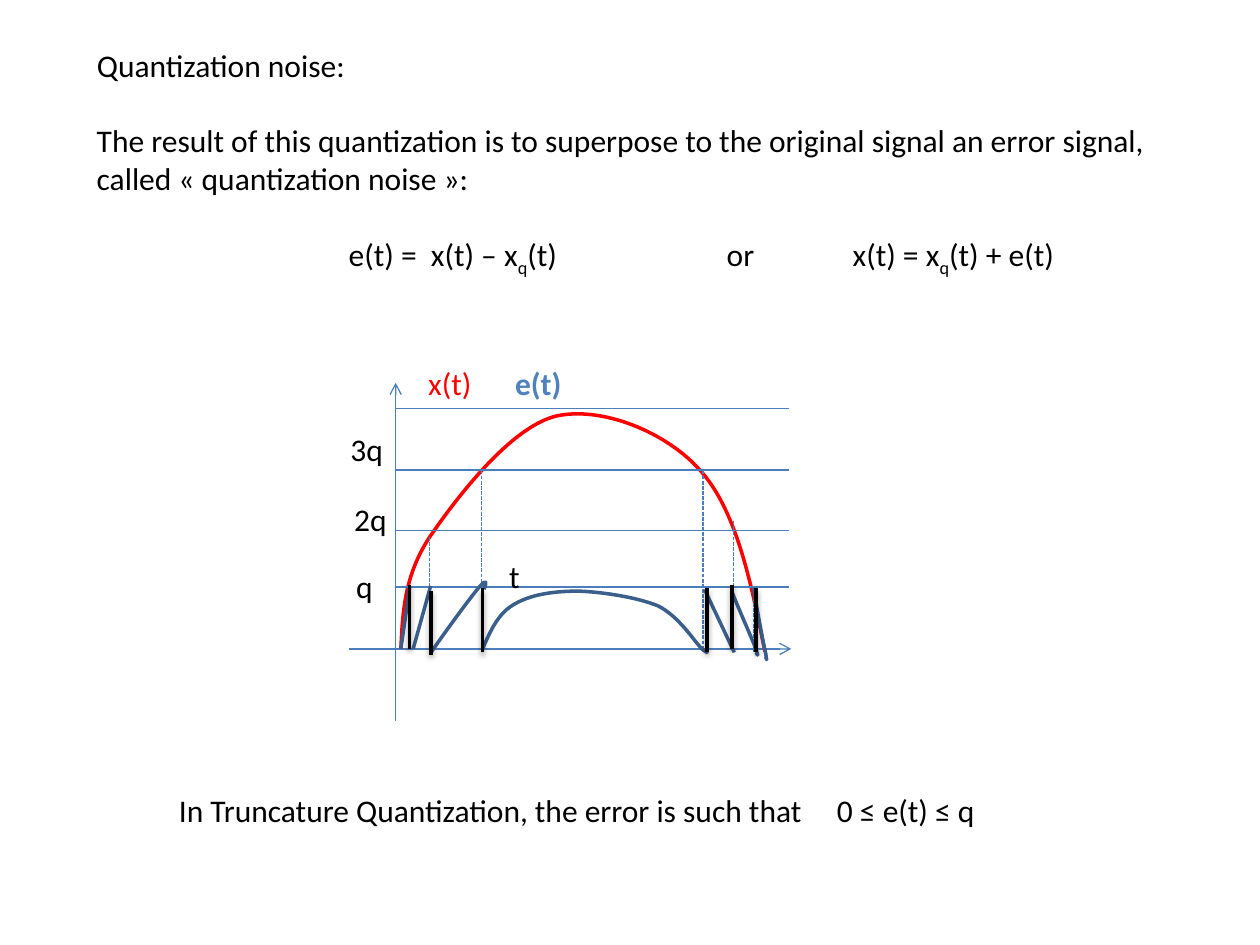
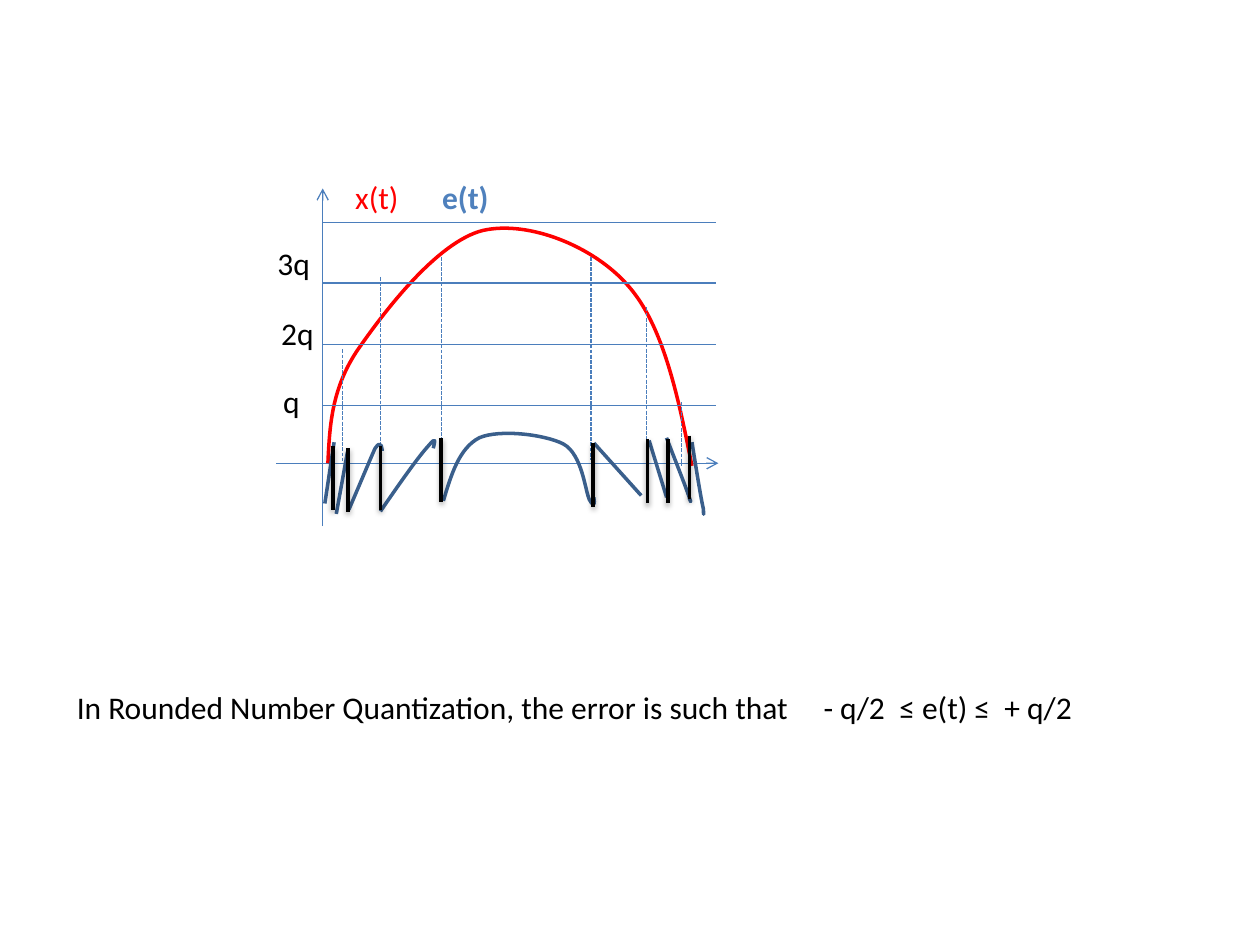
from lxml import etree
from pptx import Presentation
from pptx.dml.color import RGBColor
from pptx.enum import dml, shapes, text
from pptx.oxml import ns
from pptx.util import Pt

BLACK = RGBColor(0x00, 0x00, 0x00)
RED = RGBColor(0xFF, 0x00, 0x00)
BLUE = RGBColor(0x4F, 0x81, 0xBD)
AXIS = RGBColor(0x4B, 0x7E, 0xBC)
NAVY = RGBColor(0x3A, 0x5F, 0x8C)
FONT = "Calibri"
SIZE = 18
ROW = 29.1
SPAN = 224.6
RISE = 193
BAR = 36.5
STEPS = 12

SIGNAL = [(3, 0), (4, -21), (5, -42), (19.5, -64),
          (35, -86.5), (65.5, -126.5), (91.5, -133),
          (117.5, -139), (155, -124), (174.5, -101.5),
          (194.5, -79), (203, -39), (211, 1.5)]

LABELS = [("x(t)", 11.5, -166.5, 73, RED, False),
          ("e(t)", 61.2, -166.5, 144, BLUE, True),
          ("q", -29.7, -50.2, 34, BLACK, False),
          ("2q", -30.8, -88.8, 34, BLACK, False),
          ("3q", -33, -128.6, 34, BLACK, False)]

TRUNC = {
    "drop": 41,
    "levels": [35.3, 67.7, 102.2, 137.5],
    "dashes": [(19.5, -64, 0), (49, -102, 1.5), (175.7, -102, 1.5),
               (193, -73, 1.5), (204.5, -35, 2)],
    "bars": [(8, -36.5), (20.2, -33), (49.7, -34.5),
             (178, -34.5), (192.2, -36.5), (206, -34.5)],
    "errors": [
        [(3, 0), (8, -35)],
        [(10, 0), (20, -36)],
        [(20.2, 2), (31, -13.5), (42.5, -29), (47.5, -35),
         (52.5, -41), (52, -37.5), (50.5, -34)],
        [(49.7, 0), (54, -10), (58.5, -20), (67, -25),
         (76.5, -31), (90, -33), (104.5, -33),
         (118, -32.5), (138, -29.5), (150, -24.5),
         (162, -18.5), (170.5, -4.5), (175, 0),
         (179.5, 3.5), (178, 2), (176.5, 0)],
        [(176.5, -34), (193.5, 2)],
        [(192, -33), (196.5, -21.5), (204, -5), (206, 0.5),
         (208, 6.5), (206, 2), (206, 2)],
        [(204.5, -35), (206.5, -22), (210, -3.5), (211.5, 3),
         (212.5, 9.5), (211.5, 4.5), (211.5, 4.5)],
    ],
}

ROUND = {
    "drop": 36,
    "levels": [33, 67.7, 103, 137.5],
    "dashes": [(11.5, -65, -1), (33, -106.5, -3), (67.7, -118, -2),
               (153.3, -118, -2), (185.2, -89, -2), (205, -35, 1.5)],
    "bars": [(5.8, -10), (14.4, -8.6), (33, -10), (67.7, -14.4),
             (154.6, -11.5), (185.7, -13.7), (197.2, -13.7),
             (209.5, -15.8)],
    "errors": [
        [(1.2, 23), (6.5, -12)],
        [(7.8, 29), (14.2, -6.5)],
        [(15, 26.5), (21.5, 11.5), (27.5, -3), (30, -8.5),
         (34, -14.5), (34, -7), (34, -7)],
        [(33, 27.5), (44, 11.5), (54.5, -3.5), (60.5, -10),
         (65.5, -16), (64, -12), (63.2, -8.5)],
        [(69, 21.5), (73.5, 6.5), (78, -8.5), (89.5, -14.5),
         (101, -19.5), (126.5, -16.5), (137.5, -11),
         (148.5, -5), (150, 16), (152.5, 21),
         (155.5, 26), (155.5, 23), (155, 19.5)],
        [(155, -11.5), (182, 18.5)],
        [(186.5, -13), (196.5, 19.5)],
        [(196.5, -14.5), (201, -3), (207.5, 13.5), (209.5, 19.5),
         (211.5, 25), (209.5, 20), (209.5, 20)],
        [(211, -12), (213, 0.5), (216, 19.5), (217.5, 26),
         (218, 32.5), (217.5, 27.5), (217.5, 27.5)],
    ],
}


def node(parent, tag, **attrs):
    return etree.SubElement(parent, ns.qn(tag), **attrs)


def add_run(par, words, color=BLACK, bold=False, base=None):
    run = par.add_run()
    run.text = words
    font = run.font
    font.name, font.size, font.bold = FONT, Pt(SIZE), bold
    font.color.rgb = color
    if base:
        font._element.set("baseline", str(base * 1000))


def set_tabs(par, stops):
    tabs = node(par._p.get_or_add_pPr(), "a:tabLst")
    for stop in stops:
        node(tabs, "a:tab", pos=str(Pt(stop)), algn="l")


def add_box(slide, left, top, width, height=ROW):
    box = slide.shapes.add_textbox(Pt(left), Pt(top), Pt(width), Pt(height))
    box.text_frame.word_wrap = True
    return box.text_frame


def add_label(slide, words, left, top, width, color=BLACK, bold=False):
    add_run(add_box(slide, left, top, width).paragraphs[0], words, color, bold)


def add_note(slide, left, top, width, height, words, stops):
    frame = add_box(slide, left, top, width, height)
    frame.vertical_anchor = text.MSO_ANCHOR.BOTTOM
    par = frame.paragraphs[0]
    set_tabs(par, stops)
    add_run(par, words)


def add_line(slide, start, end, color=AXIS, weight=0.75,
             dash=False, arrow=False, shade=False):
    line = slide.shapes.add_connector(
        shapes.MSO_CONNECTOR.STRAIGHT, *map(Pt, start + end))
    line.line.color.rgb = color
    line.line.width = Pt(weight)
    if dash:
        line.line.dash_style = dml.MSO_LINE.SQUARE_DOT
    props = line._element.spPr
    if arrow:
        node(props.find(ns.qn("a:ln")), "a:tailEnd", type="arrow")
    effects = node(props, "a:effectLst")
    if shade:
        cast = node(effects, "a:outerShdw", blurRad=str(Pt(3.1)),
                    dist=str(Pt(1.6)), dir="5400000", rotWithShape="0")
        tint = node(cast, "a:srgbClr", val=str(BLACK))
        node(tint, "a:alpha", val="38000")


def trace(points):
    if len(points) == 2:
        return points
    path = points[:1]
    for i in range(0, len(points) - 1, 3):
        a, b, c, d = points[i:i + 4]
        for step in range(1, STEPS + 1):
            t = step / STEPS
            s = 1 - t
            path.append(tuple(
                s**3 * a[k] + 3 * s * s * t * b[k]
                + 3 * s * t * t * c[k] + t**3 * d[k] for k in (0, 1)))
    return path


def bend(curve, spots):
    path = next(curve._element.iter(ns.qn("a:path")))
    for step in list(path)[1:]:
        path.remove(step)
    for i in range(1, len(spots), 3):
        arc = node(path, "a:cubicBezTo")
        for x, y in spots[i:i + 3]:
            node(arc, "a:pt", x=str(x - curve.left), y=str(y - curve.top))


def add_curve(slide, left, base, points, color):
    def place(pairs):
        return [(Pt(left + x), Pt(base + y)) for x, y in pairs]

    path = place(trace(points))
    pen = slide.shapes.build_freeform(*path[0], scale=1.0)
    pen.add_line_segments(path[1:], close=False)
    curve = pen.convert_to_shape()
    if len(points) > 2:
        bend(curve, place(points))
    curve.shadow.inherit = False
    curve.fill.background()
    curve.line.color.rgb = color
    curve.line.width = Pt(2)


def add_graph(slide, left, base, data):
    drop = data["drop"]
    add_line(slide, (left, base + drop), (left, base + drop - RISE), arrow=True)
    add_line(slide, (left - 26.5, base), (left + SPAN + 1.5, base), arrow=True)
    add_curve(slide, left, base, SIGNAL, RED)
    for words, x, y, width, color, bold in LABELS:
        add_label(slide, words, left + x, base + y, width, color, bold)
    for level in data["levels"]:
        add_line(slide, (left, base - level), (left + SPAN, base - level))
    for x, top, end in data["dashes"]:
        add_line(slide, (left + x, base + top), (left + x, base + end), dash=True)
    for points in data["errors"]:
        add_curve(slide, left, base, points, NAVY)
    for x, top in data["bars"]:
        add_line(slide, (left + x, base + top), (left + x, base + top + BAR),
                 BLACK, 2, shade=True)


def add_title(slide, left, top, width, words):
    title = slide.shapes.title
    title.left, title.top = Pt(left), Pt(top)
    title.width, title.height = Pt(width), Pt(ROW)
    frame = title.text_frame
    frame.vertical_anchor = text.MSO_ANCHOR.TOP
    frame.auto_size = text.MSO_AUTO_SIZE.NONE
    par = frame.paragraphs[0]
    par.alignment = text.PP_ALIGN.LEFT
    add_run(par, words)


def add_intro(slide, left, top, width, height):
    frame = add_box(slide, left, top, width, height)
    add_run(frame.paragraphs[0],
            "The result of this quantization is to superpose to the original "
            "signal an error signal, called «\u00a0quantization noise\u00a0»:")
    par = frame.add_paragraph()
    set_tabs(par, [144, 191, 360, 432])
    par.space_before = Pt(21.8)
    for words, base in [("\te(t) =\tx(t) – x", None), ("q", -25),
                        ("(t)\tor\tx(t) = x", None), ("q", -25),
                        ("(t) + e(t)", None)]:
        add_run(par, words, base=base)


def make_trunc(deck):
    slide = deck.slides.add_slide(deck.slide_layouts[5])
    add_title(slide, 48.2, 22.7, 629, "Quantization noise:")
    add_intro(slide, 48.2, 65.6, 629, 137)
    add_graph(slide, 226.1, 370.8, TRUNC)
    add_label(slide, "t", 283.9, 314.6, 65)
    add_note(slide, 95.2, 383, 593, 94,
             "In Truncature Quantization, the error is such that\t0 ≤ e(t) ≤ q",
             [376])


def make_round(deck):
    slide = deck.slides.add_slide(deck.slide_layouts[6])
    add_graph(slide, 184.4, 264.7, ROUND)
    add_note(slide, 36.8, 389, 683, ROW,
             "In Rounded Number Quantization, the error is such that"
             "\t- q/2\t≤ e(t) ≤\t+ q/2",
             [426.7, 470, 530])


def main():
    deck = Presentation()
    deck.slide_width, deck.slide_height = Pt(720), Pt(540)
    make_trunc(deck)
    make_round(deck)
    deck.save("out.pptx")


if __name__ == "__main__":
    main()
